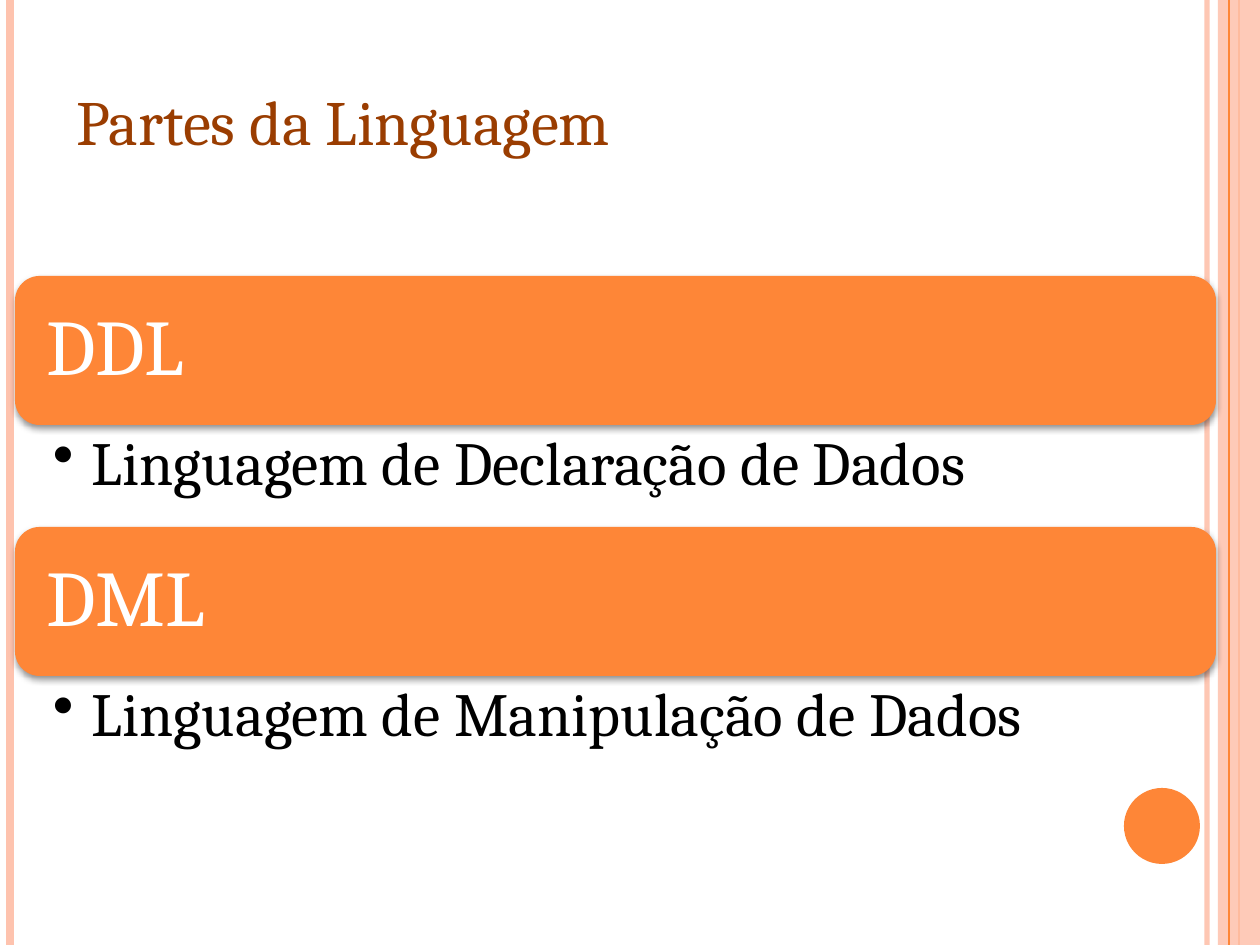
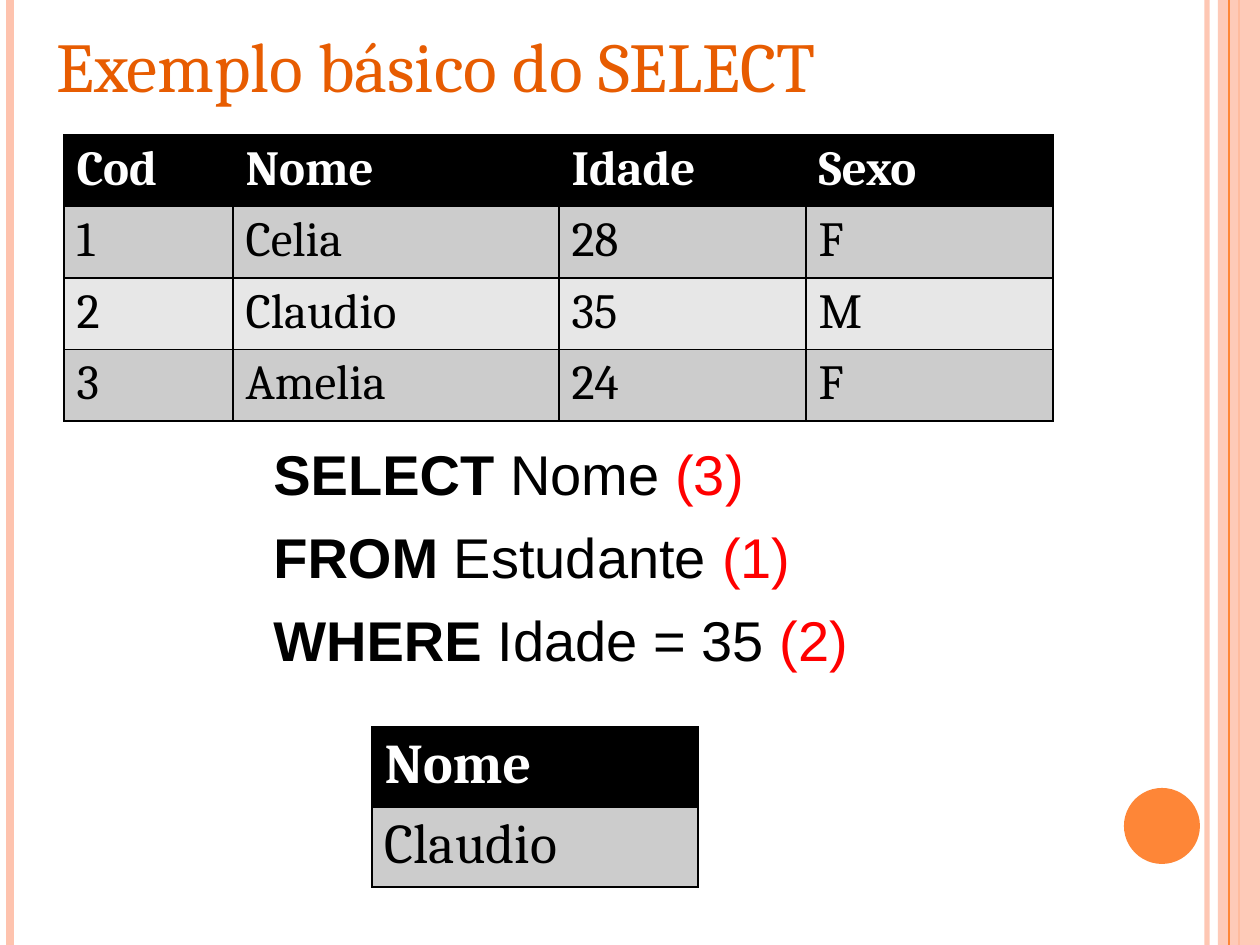
import pptx
import pptx.dml.color
import pptx.enum.shapes
import pptx.enum.text
import pptx.oxml
import pptx.oxml.ns
import pptx.util

EMU_PER_PX = 914400 / 126
DRAWING_NS = pptx.oxml.ns.nsdecls("a")
ORANGE, PEACH, BLACK, WHITE, RED = "FE8637", "FEC3AE", "000000", "FFFFFF", "FF0000"
SHAPE = pptx.enum.shapes.MSO_SHAPE
STRAIGHT = pptx.enum.shapes.MSO_CONNECTOR.STRAIGHT
MIDDLE = pptx.enum.text.MSO_ANCHOR.MIDDLE
LEFT = pptx.enum.text.PP_ALIGN.LEFT
rgb = pptx.dml.color.RGBColor.from_string


def px(*lengths):
    return [pptx.util.Emu(round(length * EMU_PER_PX)) for length in lengths]


def write(paragraph, text, color, size, **font_format):
    run = paragraph.add_run()
    run.text = text
    run.font.color.rgb = rgb(color)
    run.font.size = pptx.util.Pt(size)
    for name, value in ({"name": "Cambria"} | font_format).items():
        setattr(run.font, name, value)


deck = pptx.Presentation()
deck.slide_width, deck.slide_height = px(1260, 945)

# Shared frame and titles: lines are (x, colour, width, opacity)
left_lines = [(1207, PEACH, 3, 93), (10, PEACH, 4.5, 100), (1239, ORANGE, 1.5, 100)]
band = (1218, PEACH, None, 87)
band_line = (1229, ORANGE, 0.75, 100)
titles = [
    ("Partes da Linguagem", "9A3D01", 36, (64, 76, 656, 89)),
    ("Exemplo básico do SELECT", "E75C01", 40, (44, 16, 939, 97)),
]
for title, color, size, title_box in titles:
    slide = deck.slides.add_slide(deck.slide_layouts[6])
    for x, tint, width, opacity in [*left_lines, band, band_line]:
        if width is None:
            stripe = slide.shapes.add_shape(SHAPE.RECTANGLE, *px(x, 0, 42, 945))
            stripe.shadow.inherit = False
            stripe.fill.solid()
            stripe.fill.fore_color.rgb = rgb(tint)
            stripe.line.fill.background()
        else:
            stripe = slide.shapes.add_connector(STRAIGHT, *px(x, 0, x, 945))
            stripe.line.color.rgb = rgb(tint)
            stripe.line.width = pptx.util.Pt(width)
            stripe.element.spPr.append(pptx.oxml.parse_xml(f"<a:effectLst {DRAWING_NS}/>"))
        if opacity < 100:
            tint_xml = next(stripe.element.spPr.iter(pptx.oxml.ns.qn("a:srgbClr")))
            tint_xml.append(pptx.oxml.parse_xml(f'<a:alpha {DRAWING_NS} val="{opacity * 1000}"/>'))

    number_disc = slide.shapes.add_shape(SHAPE.OVAL, *px(1124, 788, 76, 76))
    number_disc.shadow.inherit = False
    number_disc.fill.solid()
    number_disc.fill.fore_color.rgb = rgb(ORANGE)
    number_disc.line.fill.background()

    heading = slide.shapes.add_textbox(*px(*title_box)).text_frame
    heading.word_wrap = True
    write(heading.paragraphs[0], title, color, size)

parts_slide, select_slide = deck.slides

# Parts of the language: a card with its meaning below
parts = [
    ("DDL", "Linguagem de Declaração de Dados"),
    ("DML", "Linguagem de Manipulação de Dados"),
]
card_margins = dict.fromkeys(["margin_left", "margin_top", "margin_right", "margin_bottom"], 24)
meaning_margins = {"margin_left": 38, "margin_top": 8, "margin_right": 44, "margin_bottom": 8}
for row, (acronym, meaning) in enumerate(parts):
    top = 276 + 251 * row
    card = parts_slide.shapes.add_shape(SHAPE.ROUNDED_RECTANGLE, *px(15, top, 1201, 149))
    card.fill.solid()
    card.fill.fore_color.rgb = rgb(ORANGE)
    card.line.fill.background()
    card.shadow.inherit = False
    card.element.spPr.find(pptx.oxml.ns.qn("a:effectLst")).append(pptx.oxml.parse_xml(
        f'<a:outerShdw {DRAWING_NS} blurRad="50800" dist="20320" dir="5400000" rotWithShape="0">'
        f'<a:srgbClr val="{BLACK}"><a:alpha val="42000"/></a:srgbClr></a:outerShdw>'))
    card.text_frame.vertical_anchor = MIDDLE
    detail = parts_slide.shapes.add_textbox(*px(15, top + 149, 1201, 102))

    for holder, margins, text, color, size in [
        (card, card_margins, acronym, WHITE, 45),
        (detail, meaning_margins, meaning, BLACK, 35),
    ]:
        frame = holder.text_frame
        frame.word_wrap = True
        for name, margin in margins.items():
            setattr(frame, name, px(margin)[0])
        paragraph = frame.paragraphs[0]
        paragraph.alignment = LEFT
        paragraph.line_spacing = 0.9
        write(paragraph, text, color, size)

    bullet_format = detail.text_frame.paragraphs[0]._p.get_or_add_pPr()
    indent = px(39)[0]
    bullet_format.set("marL", str(indent))
    bullet_format.set("indent", str(-indent))
    bullet_format.append(pptx.oxml.parse_xml(f'<a:buChar {DRAWING_NS} char="•"/>'))

# Query, numbered in order of evaluation
query = select_slide.shapes.add_textbox(*px(213, 433, 794, 276)).text_frame
query.word_wrap = True
clauses = [
    ("SELECT ", "Nome ", "(3)"),
    ("FROM ", "Estudante ", "(1)"),
    ("WHERE ", "Idade = 35 ", "(2)"),
]
for row, (keyword, operand, step) in enumerate(clauses):
    clause = query.add_paragraph() if row else query.paragraphs[0]
    clause.space_before = pptx.util.Pt(9)
    clause._p.get_or_add_pPr().set("marL", str(px(48)[0]))
    for text, color, bold in [(keyword, BLACK, True), (operand, BLACK, False), (step, RED, False)]:
        write(clause, text, color, 32, name="Arial", bold=bold)

# Student table and query result: (left, top, column widths, row height, size, rows)
students = [
    ("Cod", "Nome", "Idade", "Sexo"),
    ("1", "Celia", "28", "F"),
    ("2", "Claudio", "35", "M"),
    ("3", "Amelia", "24", "F"),
]
result = [("Nome",), ("Claudio",)]
for left, top, widths, row_height, size, records in [
    (64, 135, (169, 326, 247, 247), 69, 28, students),
    (372, 727, (326,), 80, 32, result),
]:
    grid = select_slide.shapes.add_table(
        len(records), len(widths), *px(left, top, sum(widths), row_height * len(records))).table
    for column, width in zip(grid.columns, px(*widths)):
        column.width = width
    for row, record in enumerate(records):
        grid.rows[row].height = px(row_height)[0]
        is_header = row == 0
        background = BLACK if is_header else ("E7E7E7", "CCCCCC")[row % 2]
        for column, text in enumerate(record):
            cell = grid.cell(row, column)
            for edge in ("lnL", "lnR", "lnT", "lnB"):
                cell._tc.get_or_add_tcPr().append(pptx.oxml.parse_xml(
                    f'<a:{edge} {DRAWING_NS} w="12700"><a:solidFill>'
                    f'<a:srgbClr val="{BLACK}"/></a:solidFill></a:{edge}>'))
            cell.fill.solid()
            cell.fill.fore_color.rgb = rgb(background)
            write(cell.text_frame.paragraphs[0], text, WHITE if is_header else BLACK,
                  size, bold=is_header)

deck.save("out.pptx")
